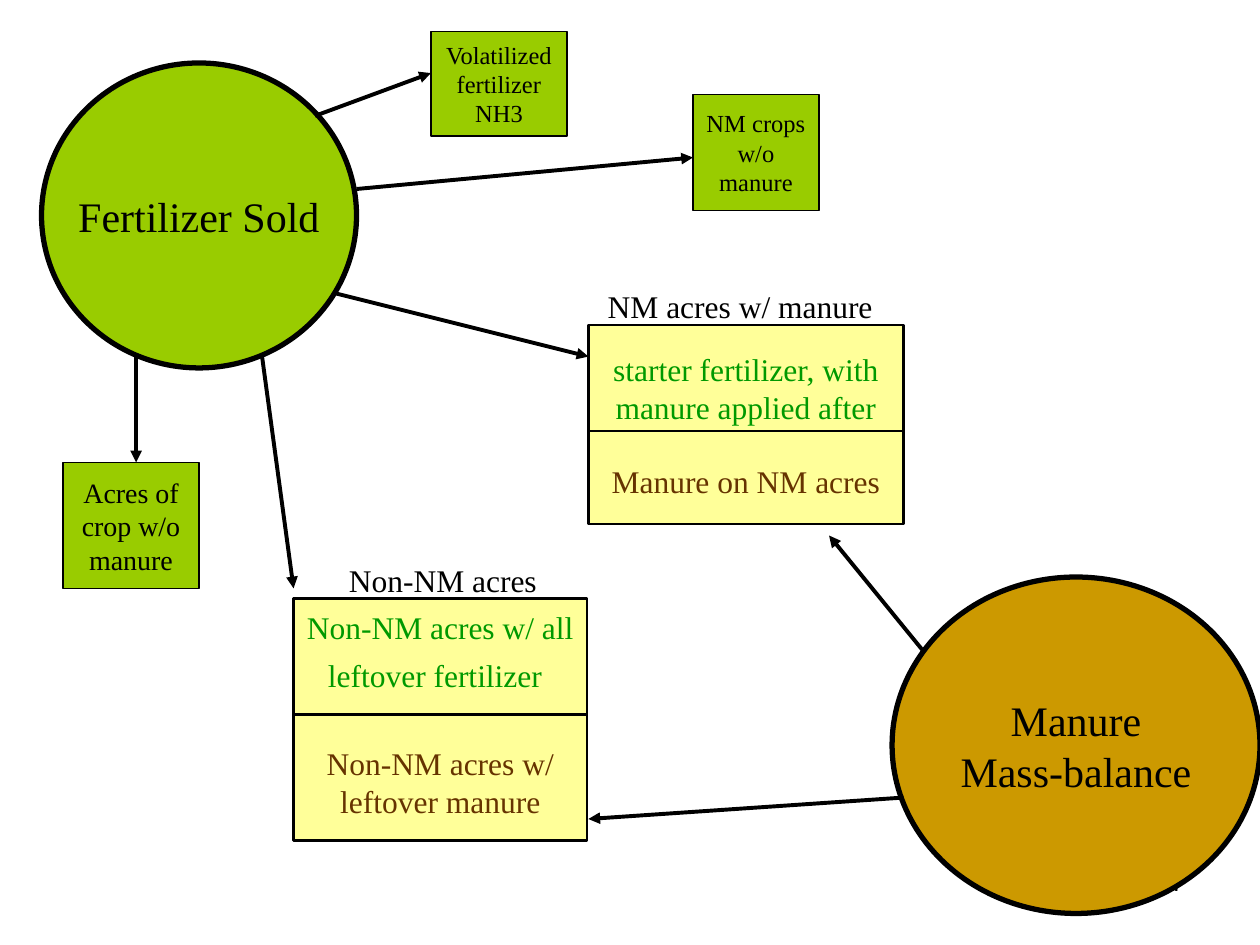
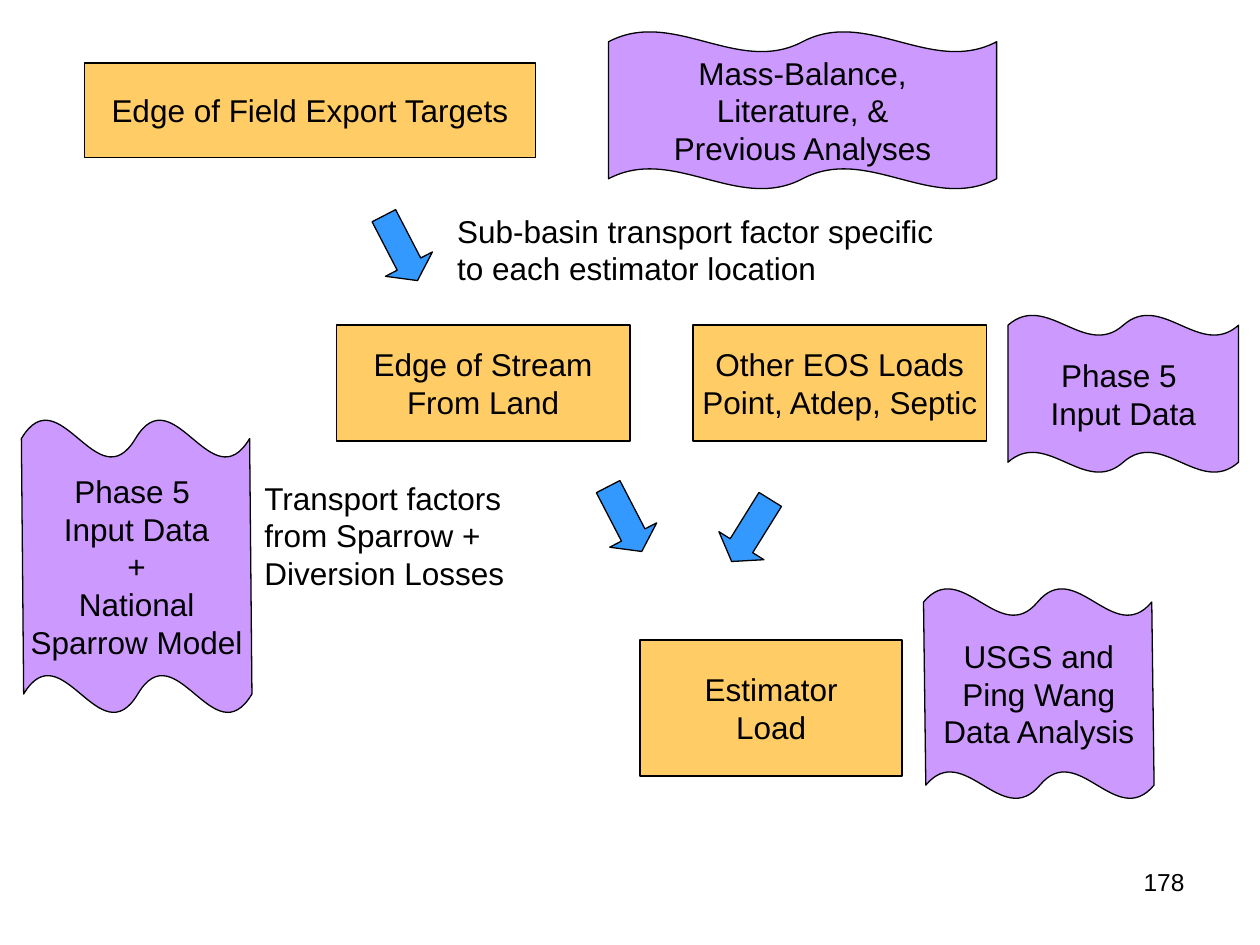
from lxml import etree
from pptx import Presentation
from pptx.dml.color import RGBColor
from pptx.enum.shapes import MSO_CONNECTOR, MSO_SHAPE
from pptx.enum.text import MSO_ANCHOR, PP_ALIGN
from pptx.oxml.ns import qn
from pptx.util import Inches, Pt

RECTANGLE, ELLIPSE = MSO_SHAPE.RECTANGLE, MSO_SHAPE.OVAL
WAVE, BLOCK_ARROW = MSO_SHAPE.DOUBLE_WAVE, MSO_SHAPE.RIGHT_ARROW
LEFT, CENTER, RIGHT = PP_ALIGN.LEFT, PP_ALIGN.CENTER, PP_ALIGN.RIGHT
TOP, MIDDLE = MSO_ANCHOR.TOP, MSO_ANCHOR.MIDDLE
STRAIGHT = MSO_CONNECTOR.STRAIGHT

SERIF, SANS = "Times New Roman", "Arial"
BLACK = "000000"
FERTILIZER, MANURE, ACRES = "99CC00", "CC9900", "FFFF99"
FERTILIZER_TEXT, MANURE_TEXT = "009900", "663300"
LOAD, DATA, FLOW = "FFCC66", "CC99FF", "3399FF"


def write(box, text, size, font, align=CENTER, anchor=MIDDLE, wrap=True):
    frame = box.text_frame
    frame.text = text
    frame.word_wrap = wrap
    frame.vertical_anchor = anchor
    for para in frame.paragraphs:
        para.alignment = align
        for span in para.runs:
            span.font.size = Pt(size)
            span.font.name = font
            span.font.color.rgb = RGBColor.from_string(BLACK)


def add_filled(page, kind, place, fill, line_width=0.75):
    shape = page.shapes.add_shape(kind, *map(Inches, place))
    shape.shadow.inherit = False
    shape.fill.solid()
    shape.fill.fore_color.rgb = RGBColor.from_string(fill)
    shape.line.color.rgb = RGBColor.from_string(BLACK)
    shape.line.width = Pt(line_width)
    return shape


deck = Presentation()
deck.slide_width, deck.slide_height = Inches(10), Inches(7.5)
pages = []
for number in ("57", "178"):
    page = deck.slides.add_slide(deck.slide_layouts[6])
    box = page.shapes.add_textbox(Inches(7.17), Inches(6.83), Inches(2.33), Inches(0.52))
    write(box, number, 14, SANS, RIGHT, TOP)
    pages.append(page)
balance_page, transport_page = pages

# Fertilizer and manure mass balance
for place, fill, text, wrap in (
    ((0.33, 0.5, 2.5, 2.42), FERTILIZER, "Fertilizer Sold", False),
    ((7.08, 4.58, 2.92, 2.67), MANURE, "Manure Mass-balance", True),
):
    source = add_filled(balance_page, ELLIPSE, place, fill, 3)
    write(source, text, 24, SERIF, wrap=wrap)

for place, fertilizer_use, manure_use, gap in (
    ((2.33, 4.75, 2.33, 1.92), "Non-NM acres w/ all leftover fertilizer",
     "Non-NM acres w/ leftover manure", 27.6),
    ((4.67, 2.58, 2.5, 1.58), "starter fertilizer, with manure applied after",
     "Manure on NM acres", 20.7),
):
    field = add_filled(balance_page, RECTANGLE, place, ACRES, 1.5)
    write(field, fertilizer_use + "\n" + manure_use, 18, SERIF)
    paragraphs = field.text_frame.paragraphs
    for para, color in zip(paragraphs, (FERTILIZER_TEXT, MANURE_TEXT)):
        para.runs[0].font.color.rgb = RGBColor.from_string(color)
    paragraphs[1].space_before = Pt(gap)
    if gap > 24:
        # A larger closing space opens up the second line
        span = paragraphs[0].add_run()
        span.text = " "
        span.font.size, span.font.name = Pt(24), SERIF
        field.text_frame.margin_bottom = Inches(0.14)

for place, text, size in (
    ((0.5, 3.67, 1.08, 1), "Acres of crop w/o manure", 16),
    ((3.42, 0.25, 1.08, 0.83), "Volatilized fertilizer NH3", 14),
    ((5.5, 0.75, 1, 0.92), "NM crops w/o manure", 14),
):
    write(add_filled(balance_page, RECTANGLE, place, FERTILIZER), text, size, SERIF)

for ends, width in (
    ((4.67, 3.42, 7.17, 3.42), 1.5),
    ((2.33, 5.67, 4.67, 5.67), 1.5),
    ((2.5, 0.92, 3.42, 0.58), 2.25),
    ((1.08, 2.83, 1.08, 3.67), 2.25),
    ((2.08, 2.83, 2.33, 4.67), 2.25),
    ((2.67, 2.33, 4.67, 2.83), 2.25),
    ((2.83, 1.5, 5.5, 1.25), 2.25),
    ((7.17, 6.33, 4.67, 6.5), 2.25),
    ((7.33, 5.17, 6.58, 4.25), 2.25),
):
    connector = balance_page.shapes.add_connector(STRAIGHT, *map(Inches, ends))
    connector.line.color.rgb = RGBColor.from_string(BLACK)
    connector.line.width = Pt(width)
    if width > 2:
        etree.SubElement(connector.line._get_or_add_ln(), qn("a:tailEnd"), type="triangle")
    etree.SubElement(connector._element.spPr, qn("a:effectLst"))

for place, text in (
    ((4.72, 2.23, 2.31, 0.4), "NM acres w/ manure"),
    ((2.67, 4.4, 1.69, 0.4), "Non-NM acres"),
):
    box = balance_page.shapes.add_textbox(*map(Inches, place))
    write(box, text, 18, SERIF, wrap=False)

# Transport from field to estimator
for place, text in (
    ((0.67, 0.5, 3.58, 0.75), "Edge of Field Export Targets"),
    ((2.67, 2.58, 2.33, 0.92), "Edge of Stream\nFrom Land"),
    ((5.5, 2.58, 2.33, 0.92), "Other EOS Loads\nPoint, Atdep, Septic"),
    ((5.08, 5.08, 2.08, 1.08), "Estimator\nLoad"),
):
    load = add_filled(transport_page, RECTANGLE, place, LOAD)
    write(load, text, 18, SANS, wrap=False)

for left, top, angle in ((2.89, 1.76, 62.6), (4.67, 3.91, 62.6), (5.67, 4, 121.9)):
    arrow = add_filled(transport_page, BLOCK_ARROW, (left, top, 0.58, 0.42), FLOW)
    arrow.adjustments[0], arrow.adjustments[1] = 0.5, 0.35
    arrow.rotation = angle

for place, text, wrap in (
    ((3.53, 1.63, 4.05, 0.7),
     "Sub-basin transport factor specific\nto each estimator location", False),
    ((2, 3.75, 2.25, 1), "Transport factors from Sparrow + Diversion Losses", True),
):
    box = transport_page.shapes.add_textbox(*map(Inches, place))
    write(box, text, 18, SANS, LEFT, TOP, wrap)

for place, slant, text in (
    ((4.83, 0.25, 3.08, 1.25), 0, "Mass-Balance,\nLiterature, &\nPrevious Analyses"),
    ((8, 2.5, 1.83, 1.25), 0, "Phase 5 \nInput Data"),
    ((0.17, 3.33, 1.83, 2.33), 0.005, "Phase 5 \nInput Data\n+\nNational\nSparrow Model"),
    ((7.33, 4.67, 1.83, 1.67), 0.005, "USGS and\nPing Wang\nData Analysis"),
):
    wave = add_filled(transport_page, WAVE, place, DATA)
    wave.adjustments[0], wave.adjustments[1] = 0.065, slant
    write(wave, text, 18, SANS, wrap=False)

deck.save("out.pptx")
